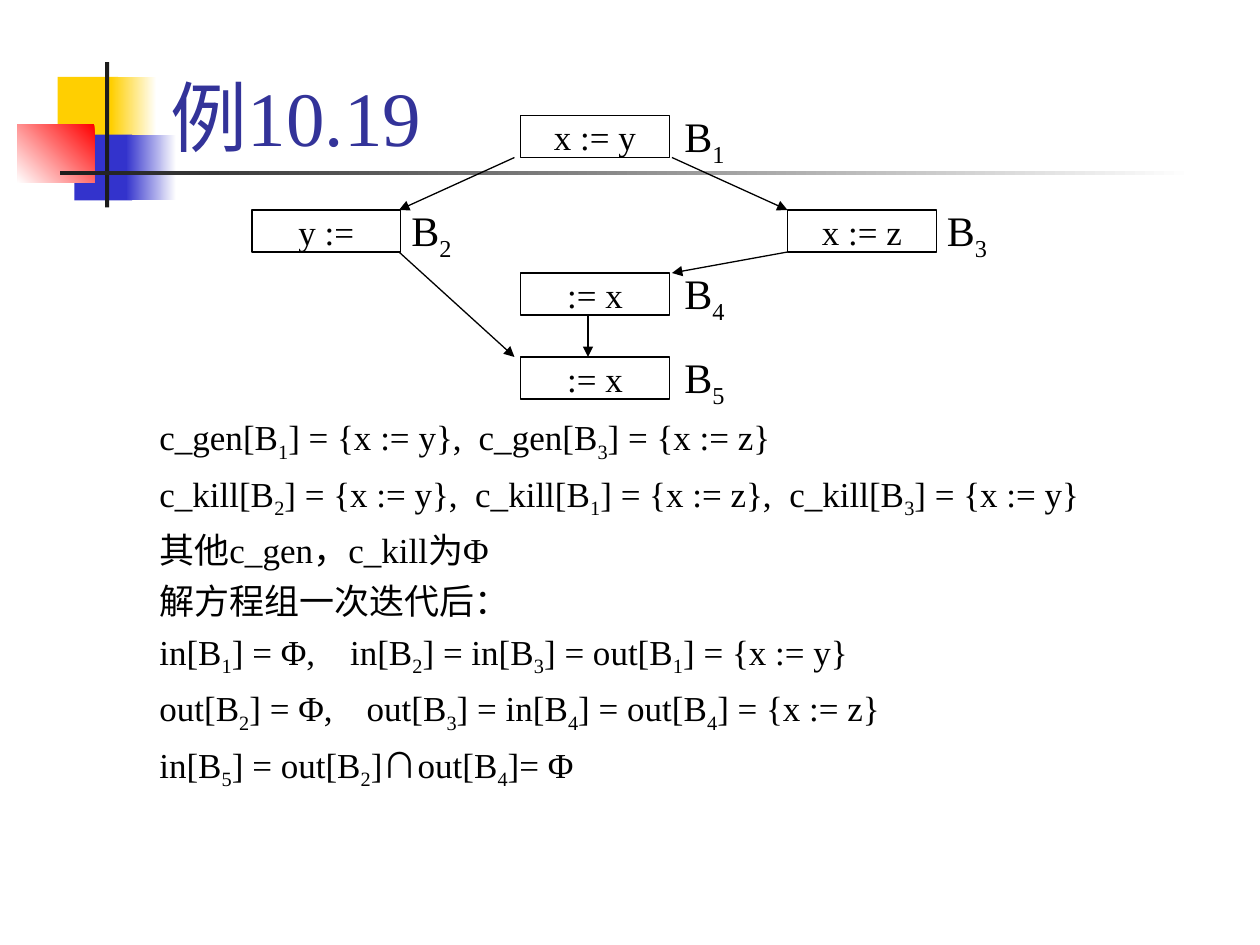
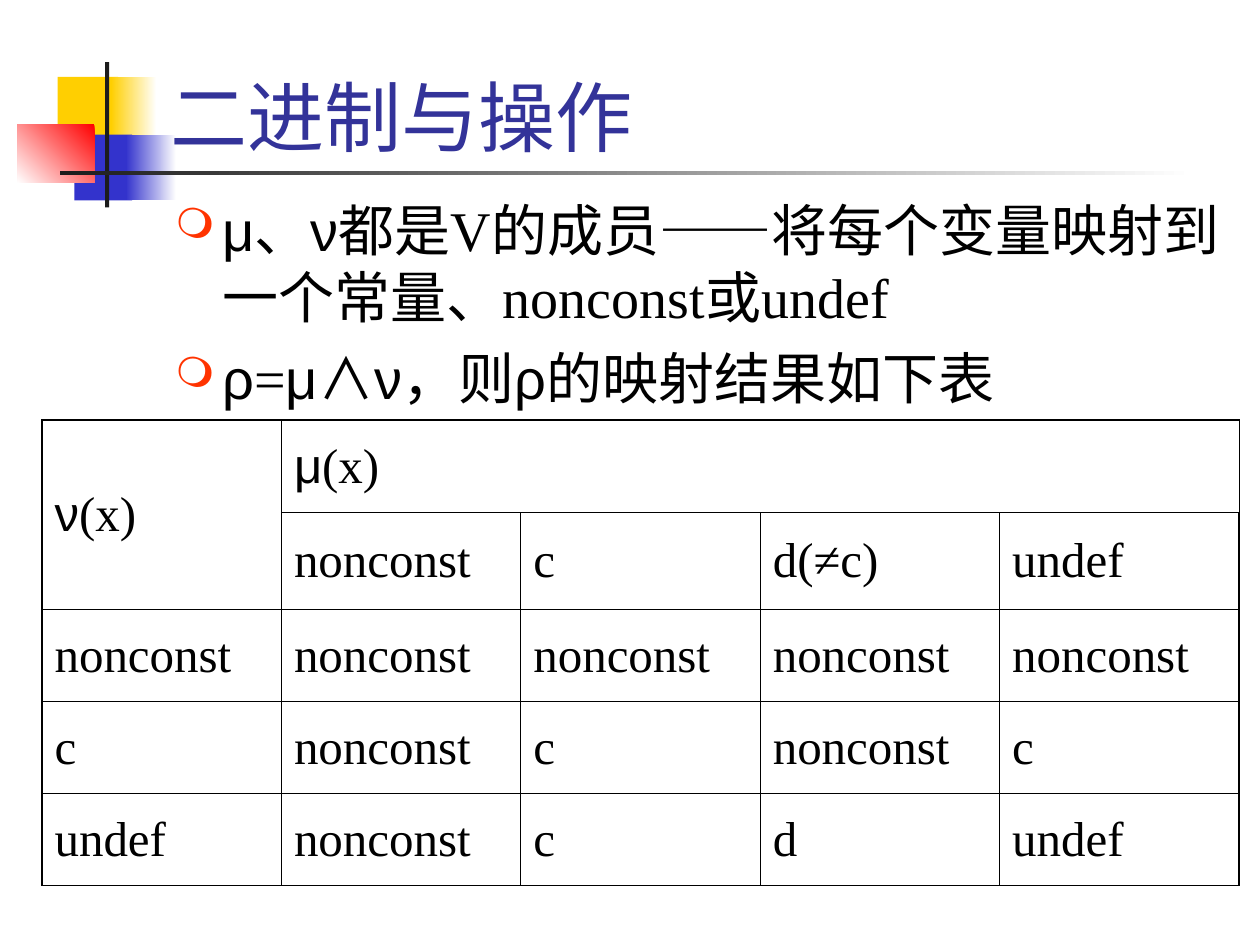
from itertools import groupby

from lxml import etree
from pptx import Presentation
from pptx.dml.color import RGBColor
from pptx.enum.shapes import MSO_CONNECTOR, MSO_SHAPE
from pptx.enum.text import MSO_ANCHOR, PP_ALIGN
from pptx.oxml.ns import qn
from pptx.util import Pt

RECT = MSO_SHAPE.RECTANGLE
LINE = MSO_CONNECTOR.STRAIGHT
TOP, MIDDLE, BOTTOM = MSO_ANCHOR.TOP, MSO_ANCHOR.MIDDLE, MSO_ANCHOR.BOTTOM
LEFT, CENTER = PP_ALIGN.LEFT, PP_ALIGN.CENTER

BLACK = RGBColor(0, 0, 0)
WHITE = RGBColor(255, 255, 255)
INK = RGBColor(0x1C, 0x1C, 0x1C)
GOLD = RGBColor(0xFF, 0xCF, 0x01)
BLUE = RGBColor(0x33, 0x33, 0xCC)
NAVY = RGBColor(0x33, 0x33, 0x99)
RED = RGBColor(0xFF, 0, 0)
ORANGE = RGBColor(0xFF, 0x33, 0)

SERIF, SANS, CJK = "Times New Roman", "Arial", "Noto Sans CJK SC"
FACES = {"μ": SANS, "ν": SANS, "ρ": SANS, "∩": CJK, "∧": CJK}


def put(parent, tag, **attrs):
    node = etree.SubElement(parent, qn(tag))
    for key, value in attrs.items():
        node.set(key, str(value))
    return node


def text(frame, *lines, size=20, color=BLACK, align=LEFT, anchor=TOP,
         inset=None, before=0, pitch=None, bullet=None, stops=()):
    """Write one paragraph per line; |...| marks a subscript."""
    frame.word_wrap = True
    frame.vertical_anchor = anchor
    if inset is not None:
        frame.margin_left = frame.margin_right = Pt(inset)
        frame.margin_top = frame.margin_bottom = Pt(inset)
    for i, line in enumerate(lines):
        para = frame.add_paragraph() if i else frame.paragraphs[0]
        para.alignment = align
        if i:
            para.space_before = Pt(before)
        if pitch:
            para.line_spacing = pitch
        props = para._p.get_or_add_pPr()
        if bullet:
            props.set("marL", str(Pt(27)))
            props.set("indent", str(Pt(-27)))
            put(put(props, "a:buClr"), "a:srgbClr", val=ORANGE)
            put(props, "a:buSzPct", val=75000)
            put(props, "a:buChar", char=bullet)
        if i < len(stops) and stops[i]:
            tabs = put(props, "a:tabLst")
            for stop in stops[i]:
                put(tabs, "a:tab", pos=Pt(stop), algn="l")
        for n, part in enumerate(line.split("|")):
            for face, chars in groupby(part, lambda c: FACES.get(c, SERIF)):
                run = para.add_run()
                run.text = "".join(chars)
                run.font.size = Pt(size)
                run.font.name = face
                run.font.color.rgb = color
                look = run._r.get_or_add_rPr()
                put(look, "a:ea", typeface=CJK)
                if n % 2:
                    look.set("baseline", "-25000")


deck = Presentation()
deck.slide_width, deck.slide_height = Pt(720), Pt(540)

# Corner blocks and rules: place, colours from start to end, angle
DECOR = [
    ((33, 44, 34.5, 37.5), (GOLD,), 0),
    ((63.5, 44, 26, 37.5), (WHITE, GOLD), 180),
    ((42.5, 77, 33, 37.5), (BLUE,), 0),
    ((72, 77, 28.8, 37.5), (WHITE, BLUE), 180),
    ((10, 71, 44, 33.5), (RED, WHITE), 135),
    ((60, 35.5, 2.4, 83), (INK,), 0),
    ((34.5, 97.7, 648, 2.4), (WHITE, INK), 180),
]

# Frame and title of both slides
slides = []
for title in ("例10.19", "二进制与操作"):
    slide = deck.slides.add_slide(deck.slide_layouts[6])
    slides.append(slide)
    for place, colors, angle in DECOR:
        block = slide.shapes.add_shape(RECT, *map(Pt, place))
        block.shadow.inherit = False
        block.line.fill.background()
        if len(colors) == 1:
            block.fill.solid()
            block.fill.fore_color.rgb = colors[0]
        else:
            block.fill.gradient()
            block.fill.gradient_angle = 360 - angle
            for i, stop in enumerate(block.fill.gradient_stops):
                stop.color.rgb = colors[i]
                stop.position = i
    box = slide.shapes.add_textbox(Pt(90.5), Pt(6), Pt(613.5), Pt(90))
    text(box.text_frame, title, size=44, color=NAVY, anchor=BOTTOM)
flow, meet = (slide.shapes for slide in slides)

# Equations below the flow graph
box = flow.add_textbox(Pt(84), Pt(234), Pt(621), Pt(252))
text(box.text_frame,
     "c_gen[B|1|] = {x := y},\tc_gen[B|3|] = {x := z}",
     "c_kill[B|2|] = {x := y},\tc_kill[B|1|] = {x := z},\tc_kill[B|3|] = {x := y}",
     "其他c_gen，c_kill为Φ",
     "解方程组一次迭代后：",
     "in[B|1|] = Φ,\tin[B|2|] = in[B|3|] = out[B|1|] = {x := y}",
     "out[B|2|] = Φ,\tout[B|3|] = in[B|4|] = out[B|4|] = {x := z}",
     "in[B|5|] = out[B|2|]∩out[B|4|]= Φ",
     before=5, stops=[(182.5,), (180.5, 360), (), (), (109,), (118.5,)])

# Flow graph: blocks with their labels
BLOCKS = [
    ("x := y", 297.5, 66, 384), ("y :=", 144, 120, 228),
    ("x := z", 450, 120, 534), (":= x", 297.5, 156, 384),
    (":= x", 297.5, 204, 384),
]
for n, (code, x, y, side) in enumerate(BLOCKS, 1):
    block = flow.add_shape(RECT, Pt(x), Pt(y), Pt(85), Pt(24))
    block.shadow.inherit = False
    block.fill.background()
    block.line.color.rgb = BLACK
    block.line.width = Pt(0.75)
    text(block.text_frame, code, align=CENTER, inset=0)
    label = flow.add_textbox(Pt(side), Pt(y - 6), Pt(42), Pt(37))
    text(label.text_frame, f"B|{n}|", size=24, pitch=0.9)

# Flow graph: arrows
ARROWS = [
    (294, 90, 228, 120), (228, 144, 294, 204), (336, 180, 336, 204),
    (384, 90, 450, 120), (450, 144, 384, 156),
]
for ends in ARROWS:
    arrow = flow.add_connector(LINE, *map(Pt, ends))
    arrow.line.color.rgb = BLACK
    arrow.line.width = Pt(0.75)
    put(arrow.line._get_or_add_ln(), "a:tailEnd", type="triangle")
    put(arrow._element.spPr, "a:effectLst")

# Bullets above the table
box = meet.add_textbox(Pt(93), Pt(108), Pt(612), Pt(372))
text(box.text_frame,
     "μ、ν都是V的成员——将每个变量映射到一个常量、nonconst或undef",
     "ρ=μ∧ν，则ρ的映射结果如下表",
     size=32, before=8, bullet="❍")

# Table of the meet results
ROWS = [
    ("ν(x)", "μ(x)", "", "", ""),
    ("", "nonconst", "c", "d(≠c)", "undef"),
    ("nonconst",) * 5,
    ("c", "nonconst", "c", "nonconst", "c"),
    ("undef", "nonconst", "c", "d", "undef"),
]
HIGHS = (53, 55.5, 52.5, 52.5, 52.5)
grid = meet.add_table(5, 5, Pt(24), Pt(240), Pt(684), Pt(sum(HIGHS))).table
grid.first_row = grid.horz_banding = False
for row, high in zip(grid.rows, HIGHS):
    row.height = Pt(high)
for col in grid.columns:
    col.width = Pt(136.8)
grid.cell(0, 0).merge(grid.cell(1, 0))
grid.cell(0, 1).merge(grid.cell(0, 4))
for r, row in enumerate(ROWS):
    for c, word in enumerate(row):
        cell = grid.cell(r, c)
        cell.vertical_anchor = MIDDLE
        edges = {"L": c == 0, "R": c == 4, "T": r == 0, "B": r == 4}
        for edge, outer in edges.items():
            border = put(cell._tc.get_or_add_tcPr(), f"a:ln{edge}",
                         w=Pt(1.08 if outer else 0.45))
            put(put(border, "a:solidFill"), "a:srgbClr", val=BLACK)
        cell.fill.background()
        if word:
            text(cell.text_frame, word, size=28)

deck.save("out.pptx")
